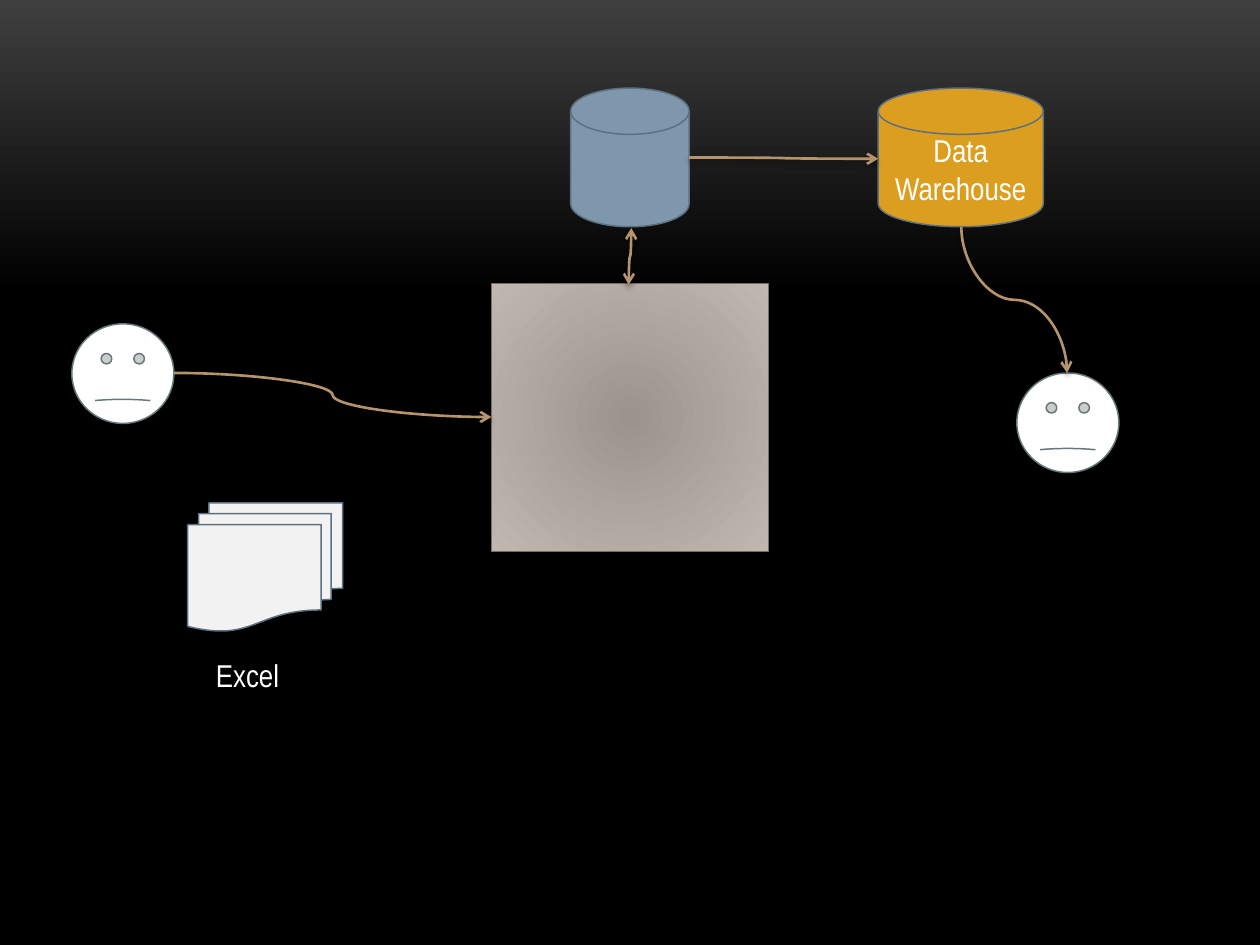
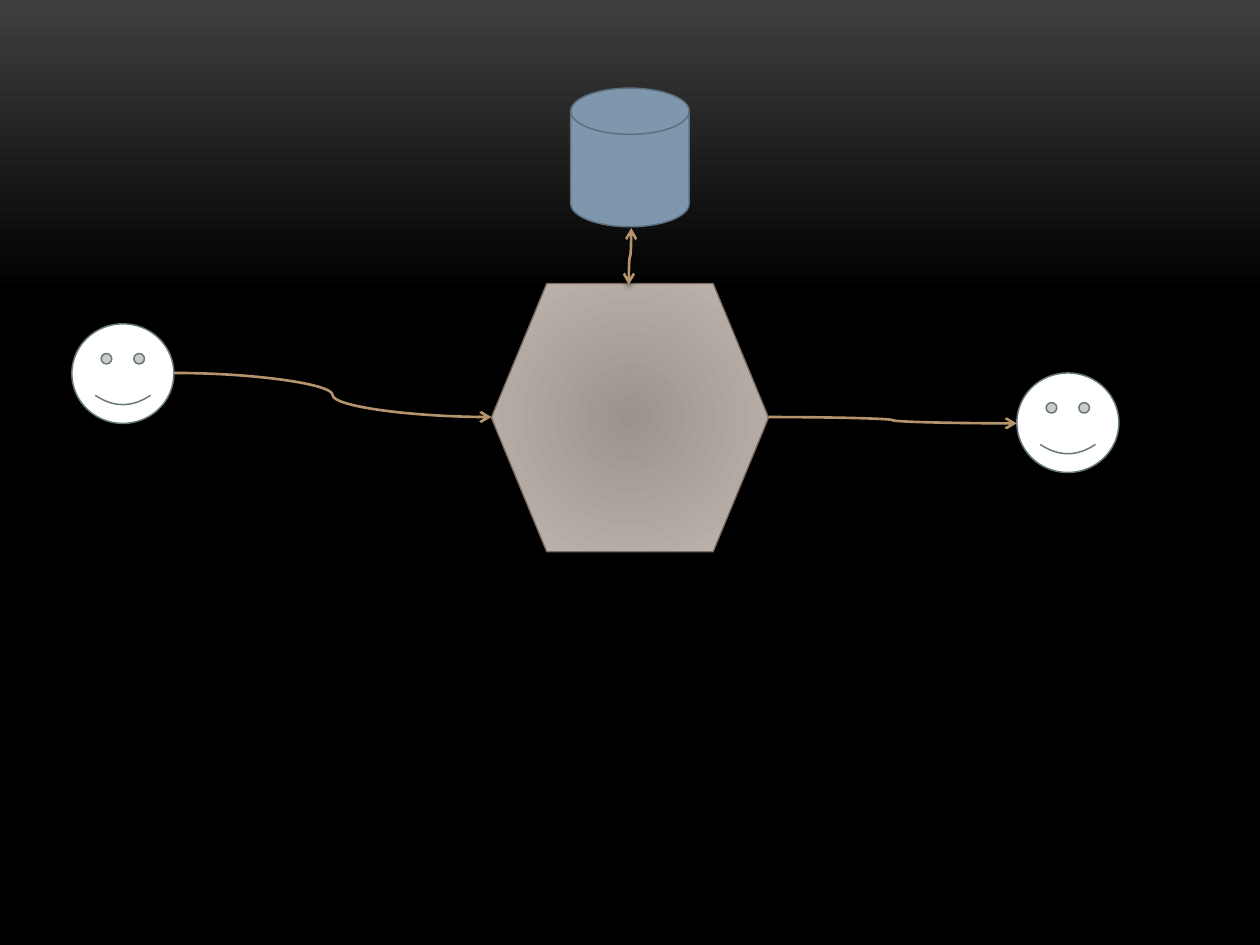
from pptx import Presentation, util as u
from pptx.dml.color import RGBColor
from pptx.enum import shapes, text
from pptx.oxml import parse_xml
from pptx.oxml.ns import nsdecls, qn

hue = dict(dusk="3F3F3F", black="000000", core="9C938D", rim="C1B7B1",
           edge="7A6A60", wire="B4936D", white="FFFFFF", face="67787B",
           blue="7E97AD", steel="5D7080", paper="F2F2F2", gold="DC9E1F")
kind = shapes.MSO_SHAPE
ns = nsdecls("a")

deck = Presentation()
deck.slide_width, deck.slide_height = u.Inches(10), u.Inches(7.5)
cell = deck.slide_width / 100

shade = (f'<a:outerShdw {ns} blurRad="38100" dist="25400" dir="5400000" rotWithShape="0">'
         f'<a:srgbClr val="{hue["black"]}"><a:alpha val="40000"/></a:srgbClr></a:outerShdw>')
round_end = ('<a:path path="circle"><a:fillToRect l="50000" t="50000" '
             'r="50000" b="50000"/></a:path>')
down_end = '<a:lin ang="5400000" scaled="0"/>'


def blend(node, stops, end):
    marks = "".join(f'<a:gs pos="{pos * 1000}"><a:srgbClr val="{hue[name]}"/></a:gs>'
                    for pos, name in stops)
    old = next(node.iter(qn("a:solidFill")))
    old.getparent().replace(old, parse_xml(
        f'<a:gradFill {ns} rotWithShape="1"><a:gsLst>{marks}</a:gsLst>{end}</a:gradFill>'))


disk = (kind.FLOWCHART_MAGNETIC_DISK, 45.3, 7, 9.4, 11, "blue", "steel")
store = (kind.FLOWCHART_MAGNETIC_DISK, 69.7, 7, 13.1, 11, "gold", "steel")
docs = (kind.FLOWCHART_MULTIDOCUMENT, 14.9, 39.9, 12.3, 10.2, "paper", "steel")
user = (kind.SMILEY_FACE, 5.7, 25.7, 8.1, 7.9, "white", "face")
reader = (kind.SMILEY_FACE, 80.7, 29.6, 8.1, 7.9, "white", "face")

link = (49.9, 22.6, 50.1, 18.1, True, ("head", "tail"))
feed = (13.8, 29.6, 39, 33.1, False, ("tail",))
load = (54.7, 12.5, 69.7, 12.6, False, ("tail",))
report = (76.3, 18, 84.7, 29.6, True, ("tail",))
answer = (61, 33.1, 80.7, 33.6, False, ("tail",))

plans = [
    (kind.RECTANGLE, -0.006, [user, disk, docs, reader, store],
     [link, feed, report, load]),
    (kind.FLOWCHART_PREPARATION, 0.047, [user, disk, reader],
     [link, feed, answer]),
]

for hub, smile, items, wires in plans:
    slide = deck.slides.add_slide(deck.slide_layouts[6])
    slide.background.fill.solid()
    blend(slide.element, [(0, "dusk"), (31, "black"), (100, "black")], down_end)

    center = (hub, 39, 22.5, 22, 21.3, "core", "edge")
    for item in [center] + items:
        form, *box, fill, line = item
        shape = slide.shapes.add_shape(form, *[round(n * cell) for n in box])
        shape.shadow.inherit = False
        shape.fill.solid()
        shape.fill.fore_color.rgb = RGBColor.from_string(hue[fill])
        if item is center:
            blend(shape.element.spPr, [(0, "core"), (100, "rim")], round_end)
            shape.element.spPr.find(qn("a:effectLst")).append(parse_xml(shade))
        shape.line.color.rgb = RGBColor.from_string(hue[line])
        shape.line.width = u.Pt(0.75 if item is center else 0.85)
        if form == kind.SMILEY_FACE:
            shape.adjustments[0] = smile
        if item is store:
            shape.text_frame.text = "Data\vWarehouse"
            label = shape.text_frame

    for x, y, right, low, steep, tips in wires:
        wide, tall = right - x, abs(low - y)
        left, top = x, min(y, low)
        if steep:
            left, top = x + (wide - tall) / 2, top + (tall - wide) / 2
            wide, tall = tall, wide
        wire = slide.shapes.add_connector(
            shapes.MSO_CONNECTOR.CURVE,
            *[round(n * cell) for n in (left, top, left + wide, top + tall)])
        wire.line.color.rgb = RGBColor.from_string(hue["wire"])
        wire.line.width = u.Pt(1.5)
        props = wire._element.spPr
        if steep:
            frame = props.find(qn("a:xfrm"))
            frame.set("rot", "16200000")
            if low > y:
                frame.set("flipH", "1")
        for tip in tips:
            props.find(qn("a:ln")).append(parse_xml(f'<a:{tip}End {ns} type="arrow"/>'))
        props.append(parse_xml(f"<a:effectLst {ns}>{shade}</a:effectLst>"))

    if docs in items:
        note = slide.shapes.add_textbox(
            *[round(n * cell) for n in (16.1, 51.6, 7.1, 4)]).text_frame
        note.text = "Excel"
        note.word_wrap = False
        note.auto_size = text.MSO_AUTO_SIZE.SHAPE_TO_FIT_TEXT
        label.vertical_anchor = text.MSO_ANCHOR.MIDDLE
        for body in (note, label):
            para = body.paragraphs[0]
            para.alignment = text.PP_ALIGN.CENTER
            for run in para.runs:
                run.font.name, run.font.size = "Arial Narrow", u.Pt(18)
                run.font.color.rgb = RGBColor.from_string(hue["white"])

deck.save("out.pptx")
